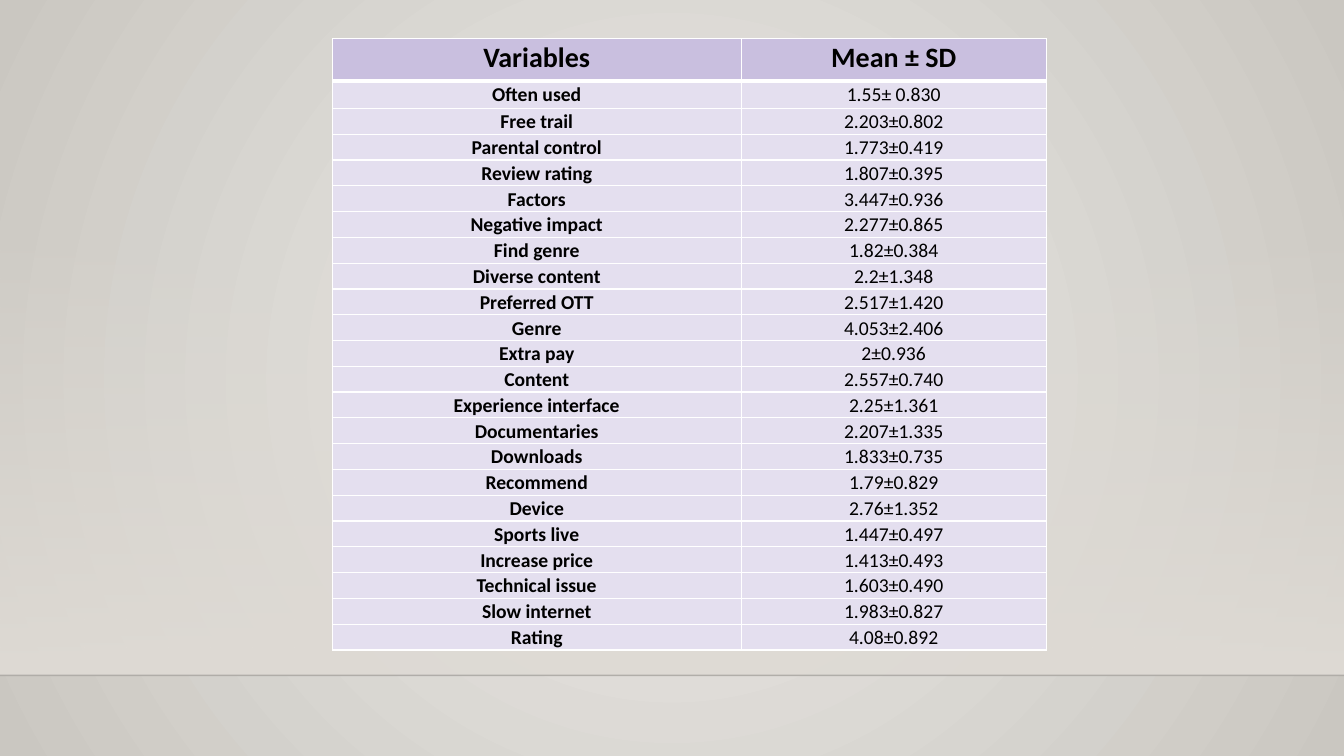
from lxml.etree import SubElement
from pptx import Presentation
from pptx.dml.color import RGBColor
from pptx.enum.shapes import MSO_CONNECTOR, MSO_SHAPE
from pptx.enum.text import PP_ALIGN
from pptx.oxml.ns import qn
from pptx.util import Pt

BLACK = RGBColor(0x00, 0x00, 0x00)
WHITE = RGBColor(0xFF, 0xFF, 0xFF)
GLOW = RGBColor(0xEC, 0xEA, 0xE7)
STONE = RGBColor(0xCA, 0xC7, 0xC1)
WALL = RGBColor(0xDF, 0xDB, 0xD5)
HEADER = RGBColor(0xC9, 0xBF, 0xDF)
BODY = RGBColor(0xE4, 0xDF, 0xEF)

STATISTICS = [
    ("Variables", "Mean ± SD"),
    ("Often used", "1.55± 0.830"),
    ("Free trail", "2.203±0.802"),
    ("Parental control", "1.773±0.419"),
    ("Review rating", "1.807±0.395"),
    ("Factors", "3.447±0.936"),
    ("Negative impact", "2.277±0.865"),
    ("Find genre", "1.82±0.384"),
    ("Diverse content", "2.2±1.348"),
    ("Preferred OTT", "2.517±1.420"),
    ("Genre", "4.053±2.406"),
    ("Extra pay", "2±0.936"),
    ("Content", "2.557±0.740"),
    ("Experience interface", "2.25±1.361"),
    ("Documentaries", "2.207±1.335"),
    ("Downloads", "1.833±0.735"),
    ("Recommend", "1.79±0.829"),
    ("Device", "2.76±1.352"),
    ("Sports live", "1.447±0.497"),
    ("Increase price", "1.413±0.493"),
    ("Technical issue", "1.603±0.490"),
    ("Slow internet", "1.983±0.827"),
    ("Rating", "4.08±0.892"),
]


def set_gradient(fill, start, end):
    fill.gradient()
    for stop, color in zip(fill.gradient_stops, (start, end)):
        stop.color.rgb = color


def add_border(cell, side, width):
    line = SubElement(cell._tc.get_or_add_tcPr(), qn(f"a:ln{side}"), w=str(Pt(width)))
    solid = SubElement(line, qn("a:solidFill"))
    SubElement(solid, qn("a:srgbClr"), val=str(WHITE))


prs = Presentation()
prs.slide_width, prs.slide_height = Pt(960), Pt(540)
slide = prs.slides.add_slide(prs.slide_layouts[6])

set_gradient(slide.background.fill, GLOW, STONE)
backdrop = slide.element.find(".//" + qn("a:gradFill"))
backdrop.remove(backdrop.find(qn("a:lin")))
circle = SubElement(backdrop, qn("a:path"), path="circle")
SubElement(circle, qn("a:fillToRect"), l="50000", t="50000", r="50000", b="50000")

wall = slide.shapes.add_shape(MSO_SHAPE.RECTANGLE, 0, Pt(159), Pt(960), Pt(323.4))
wall.shadow.inherit = False
wall.line.fill.background()
set_gradient(wall.fill, WALL, WALL)
wall.fill.gradient_angle = 270
SubElement(wall.element.find(".//" + qn("a:srgbClr")), qn("a:alpha"), val="0")

floor_edge = slide.shapes.add_connector(
    MSO_CONNECTOR.STRAIGHT, 0, Pt(482.4), Pt(960), Pt(482.4))
floor_edge.line.width = Pt(1)
floor_edge.line.color.rgb = BLACK
SubElement(floor_edge.element.find(".//" + qn("a:srgbClr")), qn("a:alpha"), val="20000")
SubElement(floor_edge.element.spPr, qn("a:effectLst"))

row_heights = [30.7, 19.3] + [18.45] * (len(STATISTICS) - 2)
statistics = slide.shapes.add_table(
    len(STATISTICS), 2, Pt(237.4), Pt(27.4), Pt(510), Pt(sum(row_heights))).table
statistics.horz_banding = False
statistics.columns[0].width = Pt(292)
statistics.columns[1].width = Pt(218)

for row, (height, texts) in enumerate(zip(row_heights, STATISTICS)):
    statistics.rows[row].height = Pt(height)
    for column, text in enumerate(texts):
        cell = statistics.cell(row, column)
        cell.margin_left = cell.margin_right = Pt(3)
        cell.margin_top = cell.margin_bottom = 0
        add_border(cell, "L", 1)
        add_border(cell, "R", 1)
        add_border(cell, "T", 3 if row == 1 else 1)
        add_border(cell, "B", 3 if row == 0 else 1)
        cell.fill.solid()
        cell.fill.fore_color.rgb = HEADER if row == 0 else BODY
        cell.text = text
        paragraph = cell.text_frame.paragraphs[0]
        paragraph.alignment = PP_ALIGN.CENTER
        paragraph.line_spacing = 1.07
        paragraph.space_after = Pt(8)
        paragraph.font.name = "Calibri"
        paragraph.font.size = Pt(20 if row == 0 else 14)
        paragraph.font.bold = row == 0 or column == 0
        paragraph.font.color.rgb = BLACK

prs.save("out.pptx")
